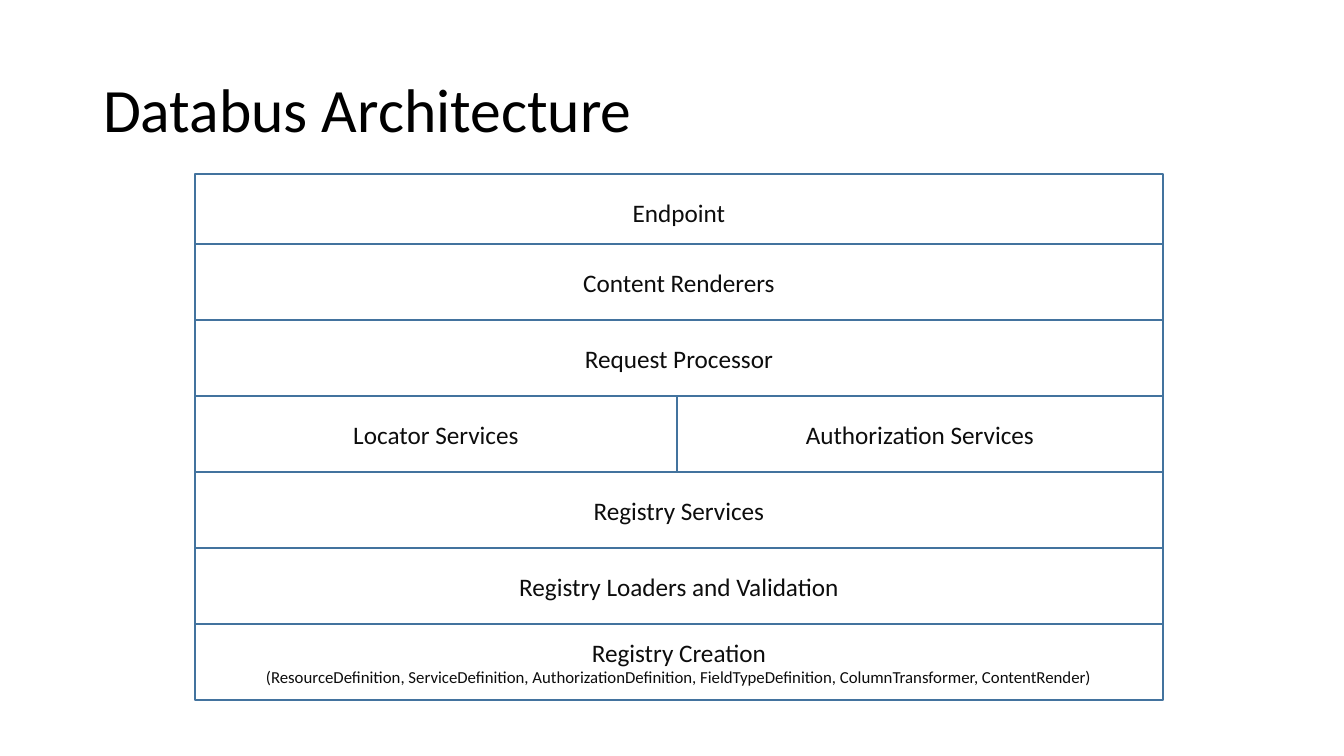
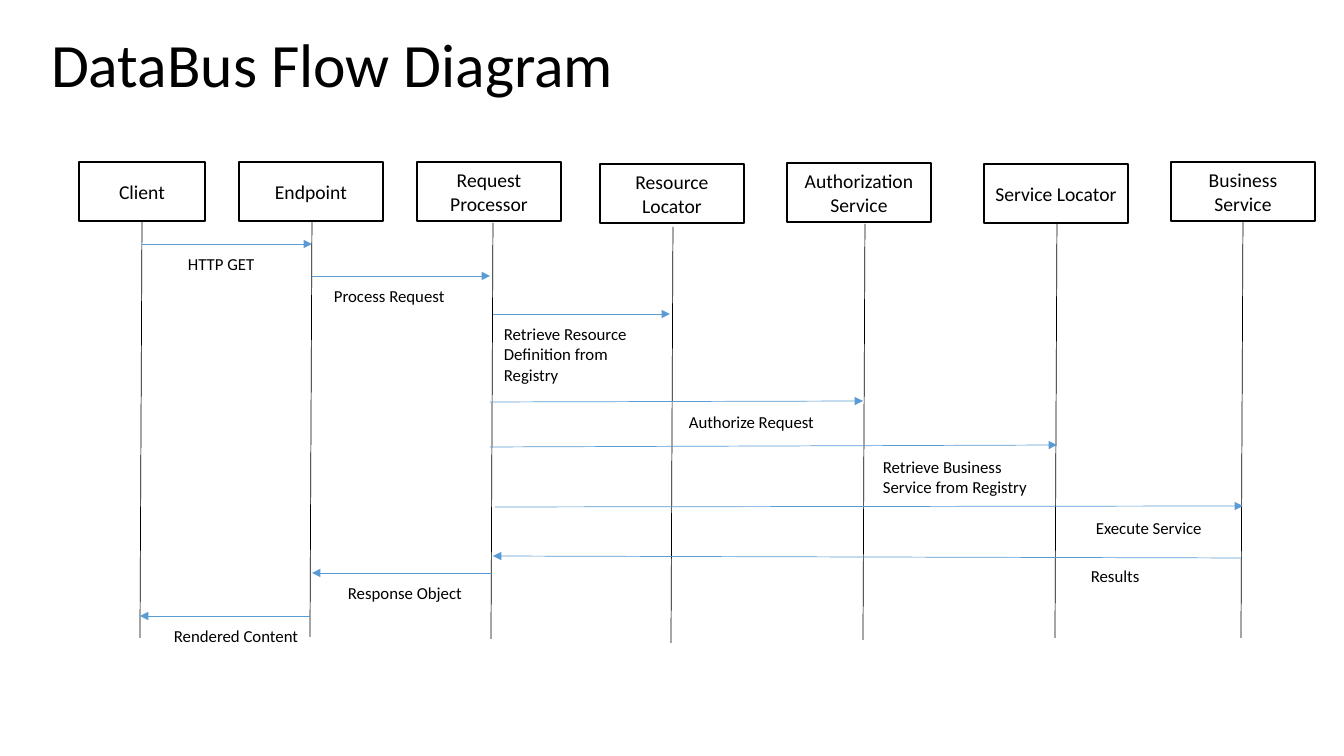
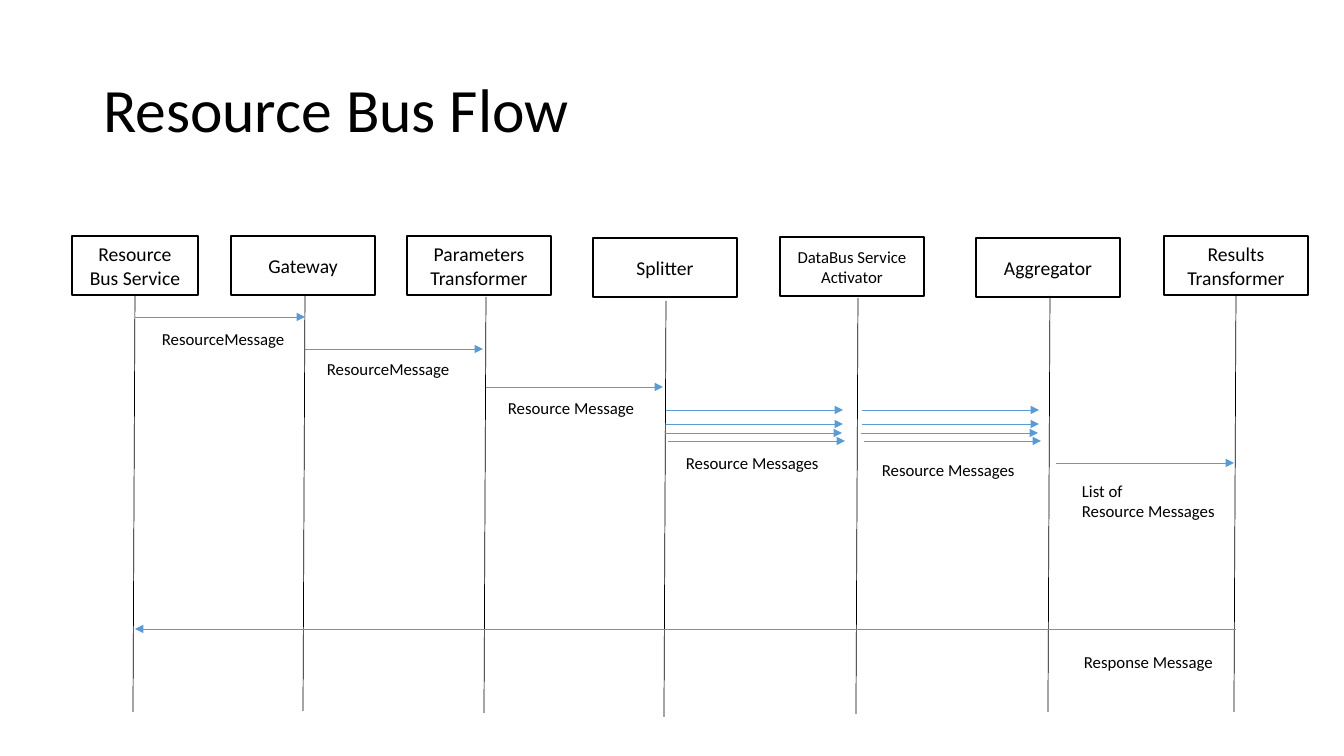
from pptx import Presentation
from pptx.dml.color import RGBColor
from pptx.enum.shapes import MSO_CONNECTOR, MSO_SHAPE
from pptx.enum.text import MSO_ANCHOR, MSO_AUTO_SIZE, PP_ALIGN
from pptx.oxml.ns import qn
from pptx.util import Emu, Pt
from lxml.etree import SubElement

PIXEL = 914400 / 100.8
FONT = "Calibri"
COLORS = {"white": "FFFFFF", "black": "000000", "ink": "0D0D0D",
          "border": "43739E", "arrow": "5B9BD5"}
TITLE_FRAME = {"vertical_anchor": MSO_ANCHOR.MIDDLE, "word_wrap": True,
               "auto_size": MSO_AUTO_SIZE.NONE}
TITLE_PARA = {"alignment": PP_ALIGN.LEFT, "line_spacing": 0.9}
BOX_FRAME = {"vertical_anchor": MSO_ANCHOR.MIDDLE, "word_wrap": True}
BOX_PARA = {"alignment": PP_ALIGN.CENTER}
LABEL_PARA = {"alignment": PP_ALIGN.LEFT}
TITLE_AREA = (93, 40, 1159, 146)

# Architecture layers, top to bottom; each cell is (width, lines of (text, size))
LAYER_LEFT, LAYER_WIDTH, LAYER_HEIGHT = 195, 968, 76
ENDPOINT_TOP, RENDERERS_TOP = 174, 244
LAYERS = [
    [(LAYER_WIDTH, [("Endpoint", 18)])],
    [(LAYER_WIDTH, [("Content Renderers", 18)])],
    [(LAYER_WIDTH, [("Request Processor", 18)])],
    [(482, [("Locator Services", 18)]), (486, [("Authorization Services", 18)])],
    [(LAYER_WIDTH, [("Registry Services", 18)])],
    [(LAYER_WIDTH, [("Registry Loaders and Validation", 18)])],
    [(LAYER_WIDTH, [("Registry Creation", 18),
                    ("(ResourceDefinition, ServiceDefinition, AuthorizationDefinition, "
                     "FieldTypeDefinition, ColumnTransformer, ContentRender)", 12)])],
]

# Sequence lanes: head top, head width, lifeline x, lifeline top
HEAD_HEIGHT, LIFELINE_LENGTH, LIFELINE_LEAN = 59, 416, 2
LANES = [(162, 126, 142, 222), (162, 144, 312, 221), (162, 144, 493, 223),
         (164, 144, 673, 227), (163, 144, 865, 224), (164, 144, 1057, 222),
         (162, 144, 1243, 222)]

# Participants: name, head left, text size
DATABUS_PARTICIPANTS = [
    ("Client", 79, 14), ("Endpoint", 239, 14), ("Request Processor", 417, 14),
    ("Resource Locator", 600, 14), ("Authorization Service", 787, 14),
    ("Service Locator", 984, 14), ("Business Service", 1171, 14)]
RESOURCE_PARTICIPANTS = [
    ("Resource Bus Service", 72, 14), ("Gateway", 231, 14),
    ("Parameters Transformer", 407, 14), ("Splitter", 593, 14),
    ("DataBus Service Activator", 780, 12), ("Aggregator", 976, 14),
    ("Results Transformer", 1164, 14)]

# Messages: start x, start y, end x, end y
DATABUS_MESSAGES = [
    (142, 244, 312, 244), (312, 276, 490, 276), (493, 314, 670, 314),
    (490, 402, 863, 401), (490, 447, 1057, 445), (495, 507, 1243, 506),
    (1241, 558, 493, 556), (492, 573, 312, 573), (310, 616, 140, 616)]
RESOURCE_MESSAGES = [
    (135, 317, 305, 317), (305, 349, 483, 349), (486, 387, 663, 387),
    (1056, 463, 1234, 463), (1236, 629, 135, 629)]
BURST_STARTS = (666, 862)
BURST_LENGTH = 177
BURST_ROWS = [(0, 410), (0, 424), (-1, 433), (2, 441)]

# Labels: text, left, top, width
DATABUS_LABELS = [
    ("HTTP GET", 178, 249, 88), ("Process Request", 324, 281, 132),
    ("Retrieve Resource\nDefinition from\nRegistry", 494, 319, 148),
    ("Authorize Request", 679, 407, 147),
    ("Retrieve Business\nService from Registry", 873, 452, 175),
    ("Execute Service", 1086, 513, 127), ("Results", 1081, 561, 70),
    ("Response Object", 338, 578, 136), ("Rendered Content", 164, 621, 146)]
RESOURCE_LABELS = [
    ("ResourceMessage", 152, 324, 144), ("ResourceMessage", 317, 354, 144),
    ("Resource Message", 498, 393, 148), ("Resource Messages", 676, 448, 155),
    ("Resource Messages", 872, 455, 155),
    ("List of\nResource Messages", 1072, 476, 156),
    ("Response Message", 1074, 647, 151)]


def px(*lengths):
    """Turn pixel lengths into EMU."""
    return [Emu(round(length * PIXEL)) for length in lengths]


def color(name):
    """Look up a named colour."""
    return RGBColor.from_string(COLORS[name])


def apply(target, values):
    """Set attributes from a dict of format values."""
    for name, value in values.items():
        setattr(target, name, value)


def write(frame, lines, frame_format, para_format, ink="black"):
    """Fill a text frame with one paragraph for each (text, size)."""
    apply(frame, frame_format)
    for index, (text, size) in enumerate(lines):
        para = frame.add_paragraph() if index else frame.paragraphs[0]
        apply(para, para_format)
        span = para.add_run()
        span.text = text
        apply(span.font, {"name": FONT, "size": Pt(size)})
        span.font.color.rgb = color(ink)


def add_page(deck, title, area=TITLE_AREA):
    """Add a page with a formatted title."""
    page = deck.slides.add_slide(deck.slide_layouts.get_by_name("Title Only"))
    apply(page.shapes.title, dict(zip(("left", "top", "width", "height"), px(*area))))
    write(page.shapes.title.text_frame, [(title, 44)], TITLE_FRAME, TITLE_PARA)
    return page


def add_box(page, area, lines, border="black", ink="black"):
    """Add a white bordered rectangle with centred text."""
    box = page.shapes.add_shape(MSO_SHAPE.RECTANGLE, *px(*area))
    box.shadow.inherit = False
    box.fill.solid()
    box.fill.fore_color.rgb = color("white")
    box.line.color.rgb = color(border)
    box.line.width = Pt(1)
    write(box.text_frame, lines, BOX_FRAME, BOX_PARA, ink)


def add_line(page, ends, stroke="black", arrow=False):
    """Add a thin straight line, with an arrowhead at its end if wanted."""
    line = page.shapes.add_connector(MSO_CONNECTOR.STRAIGHT, *px(*ends))
    line.line.color.rgb = color(stroke)
    line.line.width = Pt(0.5)
    properties = line._element.spPr
    if arrow:
        SubElement(properties.find(qn("a:ln")), qn("a:tailEnd"), type="triangle")
    SubElement(properties, qn("a:effectLst"))


def add_label(page, text, left, top, width):
    """Add a message label; only labels of several lines wrap."""
    lines = [(line, 12) for line in text.split("\n")]
    box = page.shapes.add_textbox(*px(left, top, width, 10 + 20 * len(lines)))
    label_frame = {"word_wrap": len(lines) > 1,
                   "auto_size": MSO_AUTO_SIZE.SHAPE_TO_FIT_TEXT}
    write(box.text_frame, lines, label_frame, LABEL_PARA)


def add_layers(page):
    """Stack the architecture layers."""
    for row, cells in enumerate(LAYERS):
        top = RENDERERS_TOP + (row - 1) * LAYER_HEIGHT if row else ENDPOINT_TOP
        left = LAYER_LEFT
        for width, lines in cells:
            add_box(page, (left, top, width, LAYER_HEIGHT), lines, "border", "ink")
            left += width


def add_sequence(page, participants, messages, labels, shift=(0, 0)):
    """Draw a sequence diagram whose lanes are moved by shift."""
    across, down = shift
    for (name, left, size), lane in zip(participants, LANES):
        head_top, width, line_x, line_top = lane
        add_box(page, (left, head_top + down, width, HEAD_HEIGHT), [(name, size)])
        start_x, start_y = line_x + across, line_top + down
        add_line(page, (start_x, start_y, start_x - LIFELINE_LEAN,
                        start_y + LIFELINE_LENGTH))
    for message in messages:
        add_line(page, message, "arrow", arrow=True)
    for label in labels:
        add_label(page, *label)


def main():
    """Build the deck."""
    deck = Presentation()
    deck.slide_width, deck.slide_height = px(1344, 756)

    add_layers(add_page(deck, "Databus Architecture"))

    databus = add_page(deck, "DataBus Flow Diagram", (41, 16, 1159, 104))
    add_sequence(databus, DATABUS_PARTICIPANTS, DATABUS_MESSAGES, DATABUS_LABELS)

    bursts = [(start + nudge, y, start + nudge + BURST_LENGTH, y)
              for start in BURST_STARTS for nudge, y in BURST_ROWS]
    resource = add_page(deck, "Resource Bus Flow")
    add_sequence(resource, RESOURCE_PARTICIPANTS, RESOURCE_MESSAGES + bursts,
                 RESOURCE_LABELS, shift=(-7, 74))

    deck.save("out.pptx")


main()
